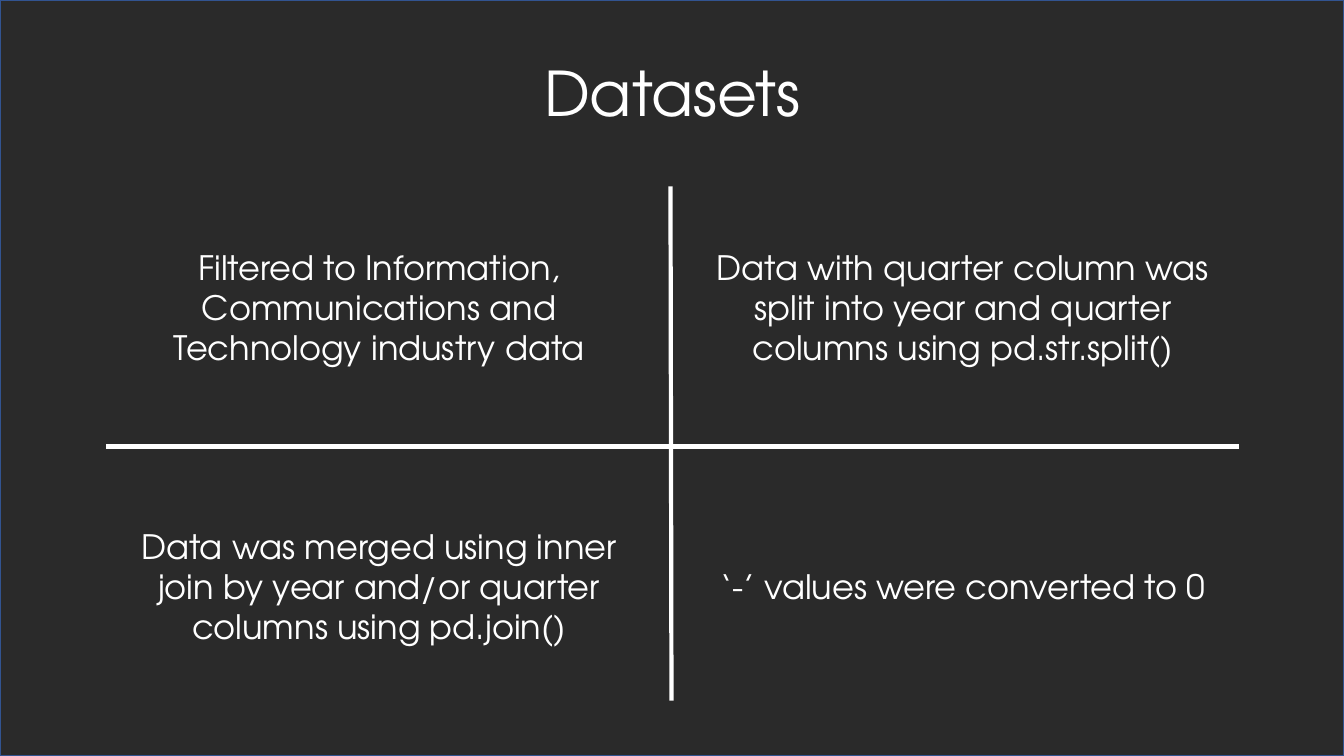
from pptx import Presentation
from pptx.dml.color import RGBColor
from pptx.enum.shapes import MSO_CONNECTOR, MSO_SHAPE
from pptx.enum.text import MSO_ANCHOR, PP_ALIGN
from pptx.oxml.ns import qn
from pptx.util import Inches, Pt
from lxml import etree

FONT = "TeX Gyre Adventor"
WHITE = RGBColor(0xFF, 0xFF, 0xFF)
CHARCOAL = RGBColor(0x2A, 0x2A, 0x2A)
BLUE = RGBColor(0x32, 0x54, 0x91)

# Quadrant texts, row by row
STEPS = [
    ["Filtered to Information, Communications and Technology industry data",
     "Data with quarter column was split into year and quarter columns using pd.str.split()"],
    ["Data was merged using inner join by year and/or quarter columns using pd.join()",
     "‘-’ values were converted to 0"],
]
LEFT, TOP = 1.18, 1.85
COL_STEP, ROW_STEP = 5.79, 2.77
BOX_W, BOX_H = 5.16, 2.39


def add_backdrop(s, prs):
    sp = s.shapes.add_shape(MSO_SHAPE.RECTANGLE, 0, 0, prs.slide_width, prs.slide_height)
    sp.shadow.inherit = False
    sp.fill.solid()
    sp.fill.fore_color.rgb = CHARCOAL
    sp.line.color.rgb = BLUE
    sp.line.width = Pt(1)
    # Send behind the title placeholder
    s.shapes._spTree.insert(2, sp._element)


def set_text(sp, text, size):
    tf = sp.text_frame
    tf.word_wrap = True
    tf.vertical_anchor = MSO_ANCHOR.MIDDLE
    tf.text = text
    p = tf.paragraphs[0]
    p.alignment = PP_ALIGN.CENTER
    font = p.runs[0].font
    font.name = FONT
    font.size = Pt(size)
    font.color.rgb = WHITE
    return p


def add_title(s, text):
    sp = s.shapes.title
    sp.left, sp.top = Inches(0.92), Inches(0.4)
    sp.width, sp.height = Inches(11.5), Inches(1.11)
    set_text(sp, text, 44).line_spacing = 0.9


def add_step(s, x, y, text):
    sp = s.shapes.add_textbox(Inches(x), Inches(y), Inches(BOX_W), Inches(BOX_H))
    set_text(sp, text, 24)


def add_divider(s, x1, y1, x2, y2):
    line = s.shapes.add_connector(
        MSO_CONNECTOR.STRAIGHT, Inches(x1), Inches(y1), Inches(x2), Inches(y2))
    line.line.color.rgb = WHITE
    line.line.width = Pt(3)
    etree.SubElement(line._element.spPr, qn("a:effectLst"))


def main():
    prs = Presentation()
    prs.slide_width, prs.slide_height = Inches(13.33), Inches(7.5)
    s = prs.slides.add_slide(prs.slide_layouts[5])

    # Background and heading
    add_backdrop(s, prs)
    add_title(s, "Datasets")

    # Cross between the quadrants
    add_divider(s, 12.29, 4.43, 1.05, 4.43)
    add_divider(s, 6.65, 1.85, 6.66, 6.95)

    # Four quadrants
    for row, texts in enumerate(STEPS):
        for col, text in enumerate(texts):
            add_step(s, LEFT + col * COL_STEP, TOP + row * ROW_STEP, text)

    prs.save("out.pptx")


if __name__ == "__main__":
    main()
